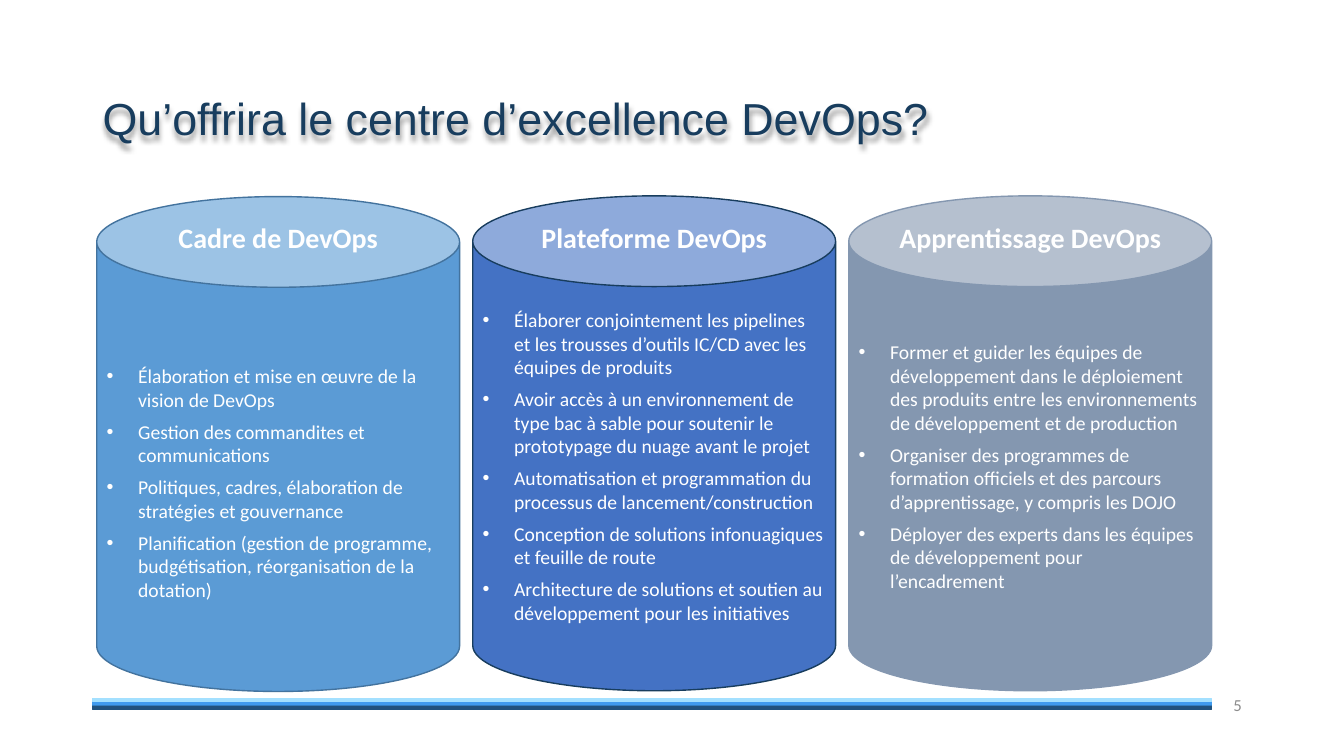
from lxml import etree
from pptx import Presentation
from pptx import util as u
from pptx.dml.color import RGBColor
from pptx.enum import shapes, text
from pptx.oxml.ns import qn

Pt = u.Pt
INDENT = 22.5


def color(hex_string):
    return RGBColor.from_string(hex_string)


class Deck:
    font = "Calibri"
    white = "FFFFFF"
    navy = "183D5E"

    def __init__(self, width, height):
        self.prs = Presentation()
        self.prs.slide_width, self.prs.slide_height = Pt(width), Pt(height)
        self.slide = self.prs.slides.add_slide(self.prs.slide_layouts[6])

    def shape(self, kind, box, fill, line):
        item = self.slide.shapes.add_shape(kind, *map(Pt, box))
        item.shadow.inherit = False
        item.fill.solid()
        item.fill.fore_color.rgb = color(fill)
        item.line.color.rgb = color(line)
        item.line.width = Pt(1)
        return item

    def style(self, paragraph, size, hex_color, align, font=None, bold=False):
        paragraph.alignment = align
        paragraph.font.name = font or self.font
        paragraph.font.size = Pt(size)
        paragraph.font.bold = bold
        paragraph.font.color.rgb = color(hex_color)

    def label(self, words, box, size, hex_color, align, wrap=True, **look):
        item = self.slide.shapes.add_textbox(*map(Pt, box))
        frame = item.text_frame
        frame.word_wrap = wrap
        frame.vertical_anchor = text.MSO_ANCHOR.MIDDLE
        frame.text = words
        self.style(frame.paragraphs[0], size, hex_color, align, **look)
        return item

    def title(self, words, box):
        item = self.label(words, box, 32, self.navy, text.PP_ALIGN.LEFT, font="Arial")
        item.text_frame.paragraphs[0].line_spacing = 0.9
        # Soft shadow below the letters
        item.shadow.inherit = False
        effects = item._element.spPr.find(qn("a:effectLst"))
        shadow = etree.SubElement(effects, qn("a:outerShdw"), blurRad=str(Pt(4)),
                                  dist=str(Pt(3)), dir="5400000", algn="t", rotWithShape="0")
        black = etree.SubElement(shadow, qn("a:srgbClr"), val="000000")
        etree.SubElement(black, qn("a:alpha"), val="40000")

    def bullets(self, frame, items):
        for index, words in enumerate(items):
            paragraph = frame.paragraphs[0] if index == 0 else frame.add_paragraph()
            paragraph.text = words
            self.style(paragraph, 14, self.white, text.PP_ALIGN.LEFT)
            paragraph.space_after = Pt(6)
            props = paragraph._p.get_or_add_pPr()
            props.set("marL", str(Pt(INDENT)))
            props.set("indent", str(-Pt(INDENT)))
            bullet_font = etree.Element(qn("a:buFont"), typeface="Arial")
            bullet = etree.Element(qn("a:buChar"), char="•")
            props.find(qn("a:defRPr")).addprevious(bullet_font)
            bullet_font.addnext(bullet)

    def pillar(self, heading, items, box, fill, line, lowered):
        left, top, width, height = box
        can = self.shape(shapes.MSO_SHAPE.CAN, box, fill, line)
        frame = can.text_frame
        frame.word_wrap = True
        frame.vertical_anchor = text.MSO_ANCHOR.MIDDLE
        frame.margin_top = Pt(3.6 + lowered)
        self.bullets(frame, items)
        self.label(heading, (left, 153.4, width, 31.7), 20, self.white,
                   text.PP_ALIGN.CENTER, wrap=False, bold=True)


deck = Deck(960, 540)

# Footer stripes: top, height, colour
for top, height, stripe in [(501.8, 2.9, "327DC0"), (501.1, 2.2, "3F9AEE"),
                            (499, 2.2, "A3E0FF"), (504.7, 2.2, "20517D")]:
    deck.shape(shapes.MSO_SHAPE.RECTANGLE, (66.2, top, 799.2, height), stripe, stripe)

# Title and page number
deck.title("Qu’offrira le centre d’excellence DevOps?", (66.2, 49, 828, 74.9))
deck.label("5", (678.2, 488.9, 216, 28.8), 12, "8C8C8C", text.PP_ALIGN.RIGHT)

# Pillars: heading, fill, outline, top, extra space above the bullets, bullets
pillars = [
    ("Cadre de DevOps", "5B9BD5", "43739E", 140.4, 23, [
        "Élaboration et mise en œuvre de la vision de DevOps",
        "Gestion des commandites et communications",
        "Politiques, cadres, élaboration de stratégies et gouvernance",
        "Planification (gestion de programme, budgétisation, réorganisation de la dotation)",
    ]),
    ("Plateforme DevOps", "4472C4", deck.navy, 139.9, 0, [
        "Élaborer conjointement les pipelines et les trousses d’outils IC/CD avec "
        "les équipes de produits",
        "Avoir accès à un environnement de type bac à sable pour soutenir le "
        "prototypage du nuage avant le projet",
        "Automatisation et programmation du processus de lancement/construction",
        "Conception de solutions infonuagiques et feuille de route",
        "Architecture de solutions et soutien au développement pour les initiatives",
    ]),
    ("Apprentissage DevOps", "8497B0", "8497B0", 139.9, 0, [
        "Former et guider les équipes de développement dans le déploiement des "
        "produits entre les environnements de développement et de production",
        "Organiser des programmes de formation officiels et des parcours "
        "d’apprentissage, y compris les DOJO",
        "Déployer des experts dans les équipes de développement pour l’encadrement",
    ]),
]
for column, (heading, fill, line, top, lowered, items) in enumerate(pillars):
    box = (69.1 + column * 268.6, top, 259.2, 353.5)
    deck.pillar(heading, items, box, fill, line, lowered)

deck.prs.save("out.pptx")
